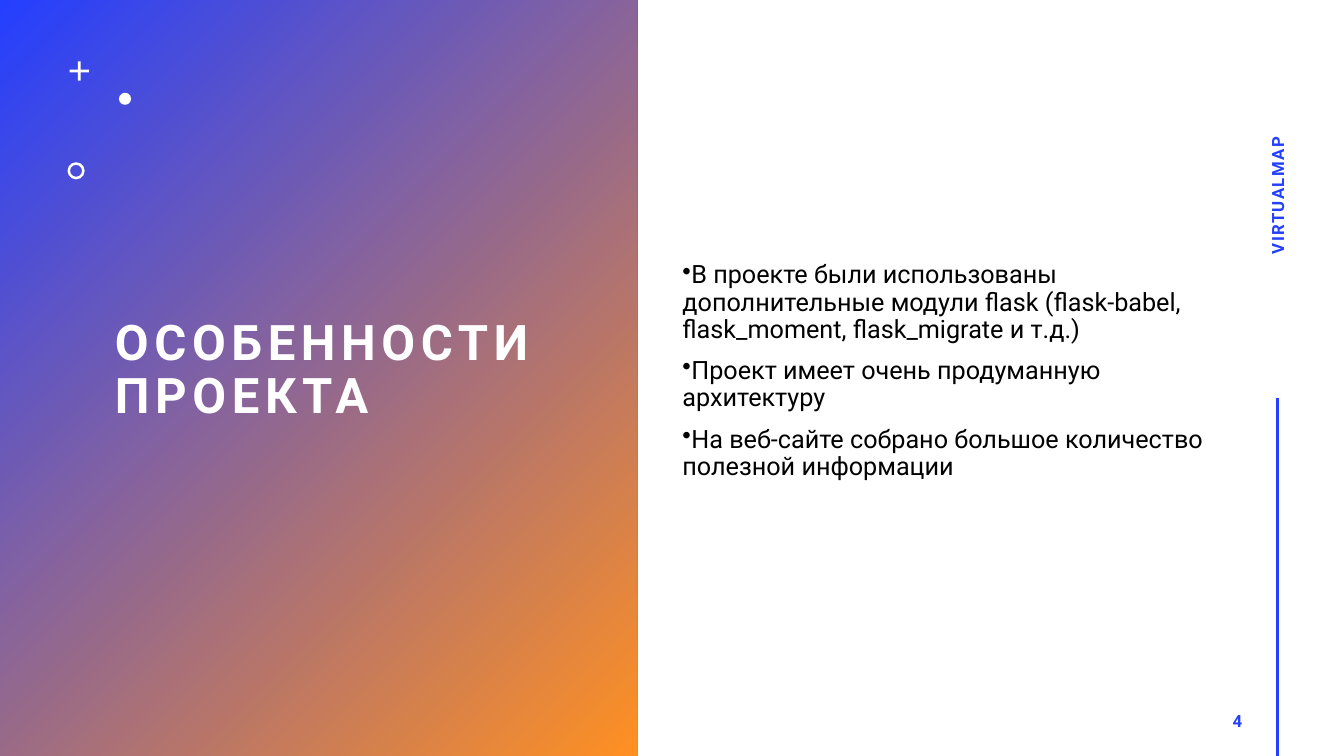
import pptx
import pptx.dml.color
import pptx.enum.shapes
import pptx.enum.text
import pptx.oxml.ns
import pptx.util
from lxml import etree

Inches, Pt = pptx.util.Inches, pptx.util.Pt
RGB = pptx.dml.color.RGBColor.from_string
SHAPE = pptx.enum.shapes.MSO_SHAPE
ALIGN = pptx.enum.text.PP_ALIGN
qn = pptx.oxml.ns.qn

TITLE = "ОСОБЕННОСТИ ПРОЕКТА"
FEATURES = [
    "В проекте были использованы дополнительные модули flask "
    "(flask-babel, flask_moment, flask_migrate и т.д.)",
    "Проект имеет очень продуманную архитектуру",
    "На веб-сайте собрано большое количество полезной информации",
]
PROJECT_NAME = "VIRTUALMAP"
PAGE_NUMBER = "4"

THEME = {
    "font": "Roboto",
    "blue": "243FFF", "orange": "FF9022", "white": "FFFFFF", "black": "000000",
    "title": 35, "body": 18, "label": 12, "rule": 2,
}

SLIDE_W, SLIDE_H = 13.33, 7.5
PANEL_W = 6.32
TEXT_TOP, TEXT_H = 0.42, 6.53
RULE_X, RULE_TOP = 12.67, 3.95
LABEL_W, LABEL_H, LABEL_MID = 3.88, 0.4, 1.94

# shape, left, top, size, adjustment
ORNAMENTS = [
    (SHAPE.CROSS, 0.69, 0.61, 0.19, 0.43),
    (SHAPE.OVAL, 1.18, 0.92, 0.12, None),
    (SHAPE.DONUT, 0.67, 1.61, 0.17, 0.15),
]
LABEL = {"size": "label", "color": "blue", "bold": True, "spacing": 1}
LABEL_PARAGRAPH = {"space_after": Pt(6)}
BODY_PARAGRAPH = {"line_spacing": 0.9, "space_before": Pt(10)}


def set_attributes(obj, values):
    for name, value in values.items():
        setattr(obj, name, value)


def place(sp, box):
    set_attributes(sp, dict(zip(("left", "top", "width", "height"), map(Inches, box))))


def write(sp, lines, style, paragraph, bullet=None):
    """Fill a text shape, one paragraph per line, centred vertically."""
    tf = sp.text_frame
    set_attributes(tf, {
        "word_wrap": True,
        "auto_size": pptx.enum.text.MSO_AUTO_SIZE.NONE,
        "vertical_anchor": pptx.enum.text.MSO_ANCHOR.MIDDLE,
    })
    for i, line in enumerate(lines):
        p = tf.paragraphs[0] if i == 0 else tf.add_paragraph()
        set_attributes(p, paragraph)
        r = p.add_run()
        r.text = line
        set_attributes(r.font, {
            "name": THEME["font"], "size": Pt(THEME[style["size"]]), "bold": style["bold"],
        })
        r.font.color.rgb = RGB(THEME[style["color"]])
        r.font._element.set("spc", str(style["spacing"] * 100))
        if bullet:
            props = p._p.get_or_add_pPr()
            props.set("marL", "0")
            props.set("indent", str(-Inches(0.25)))
            etree.SubElement(props, qn("a:buChar")).set("char", bullet)


def add_text(slide, box, *content, rotation=0, **options):
    sp = slide.shapes.add_textbox(*map(Inches, box))
    sp.rotation = rotation
    write(sp, *content, **options)


def add_plain_shape(slide, kind, box):
    sp = slide.shapes.add_shape(kind, *map(Inches, box))
    sp.shadow.inherit = False
    sp.line.fill.background()
    return sp


def add_panel(slide):
    panel = add_plain_shape(slide, SHAPE.RECTANGLE, (0, 0, PANEL_W, SLIDE_H))
    panel.fill.gradient()
    panel.fill.gradient_angle = 315
    for stop, position, color in zip(panel.fill.gradient_stops, (0, 1), ("blue", "orange")):
        stop.position = position
        stop.color.rgb = RGB(THEME[color])
    slide.shapes._spTree.insert(2, panel._element)  # behind the title


def add_ornaments(slide):
    for kind, left, top, size, adjustment in ORNAMENTS:
        sp = add_plain_shape(slide, kind, (left, top, size, size))
        sp.fill.solid()
        sp.fill.fore_color.rgb = RGB(THEME["white"])
        if adjustment is not None:
            sp.adjustments[0] = adjustment


def add_rule(slide):
    rule = slide.shapes.add_connector(
        pptx.enum.shapes.MSO_CONNECTOR.STRAIGHT,
        *map(Inches, (RULE_X, RULE_TOP, RULE_X, SLIDE_H)))
    rule.line.color.rgb = RGB(THEME["blue"])
    rule.line.width = Pt(THEME["rule"])
    etree.SubElement(rule._element.spPr, qn("a:effectLst"))


def main():
    prs = pptx.Presentation()
    set_attributes(prs, {"slide_width": Inches(SLIDE_W), "slide_height": Inches(SLIDE_H)})
    slide = prs.slides.add_slide(prs.slide_layouts.get_by_name("Title Only"))

    add_panel(slide)
    title = slide.shapes.title
    place(title, (1.04, TEXT_TOP, 4.65, TEXT_H))
    write(title, [TITLE], {"size": "title", "color": "white", "bold": True, "spacing": 4},
          {"line_spacing": 0.9, "alignment": ALIGN.LEFT})
    add_ornaments(slide)

    add_text(slide, (6.67, TEXT_TOP, 5.45, TEXT_H), FEATURES,
             {"size": "body", "color": "black", "bold": False, "spacing": 0},
             BODY_PARAGRAPH, bullet="•")
    add_text(slide, (RULE_X - LABEL_W / 2, LABEL_MID - LABEL_H / 2, LABEL_W, LABEL_H),
             [PROJECT_NAME], LABEL, {**LABEL_PARAGRAPH, "alignment": ALIGN.CENTER},
             rotation=270)
    add_text(slide, (9.42, 6.95, 3, LABEL_H), [PAGE_NUMBER], LABEL,
             {**LABEL_PARAGRAPH, "alignment": ALIGN.RIGHT})
    add_rule(slide)
    prs.save("out.pptx")


if __name__ == "__main__":
    main()
